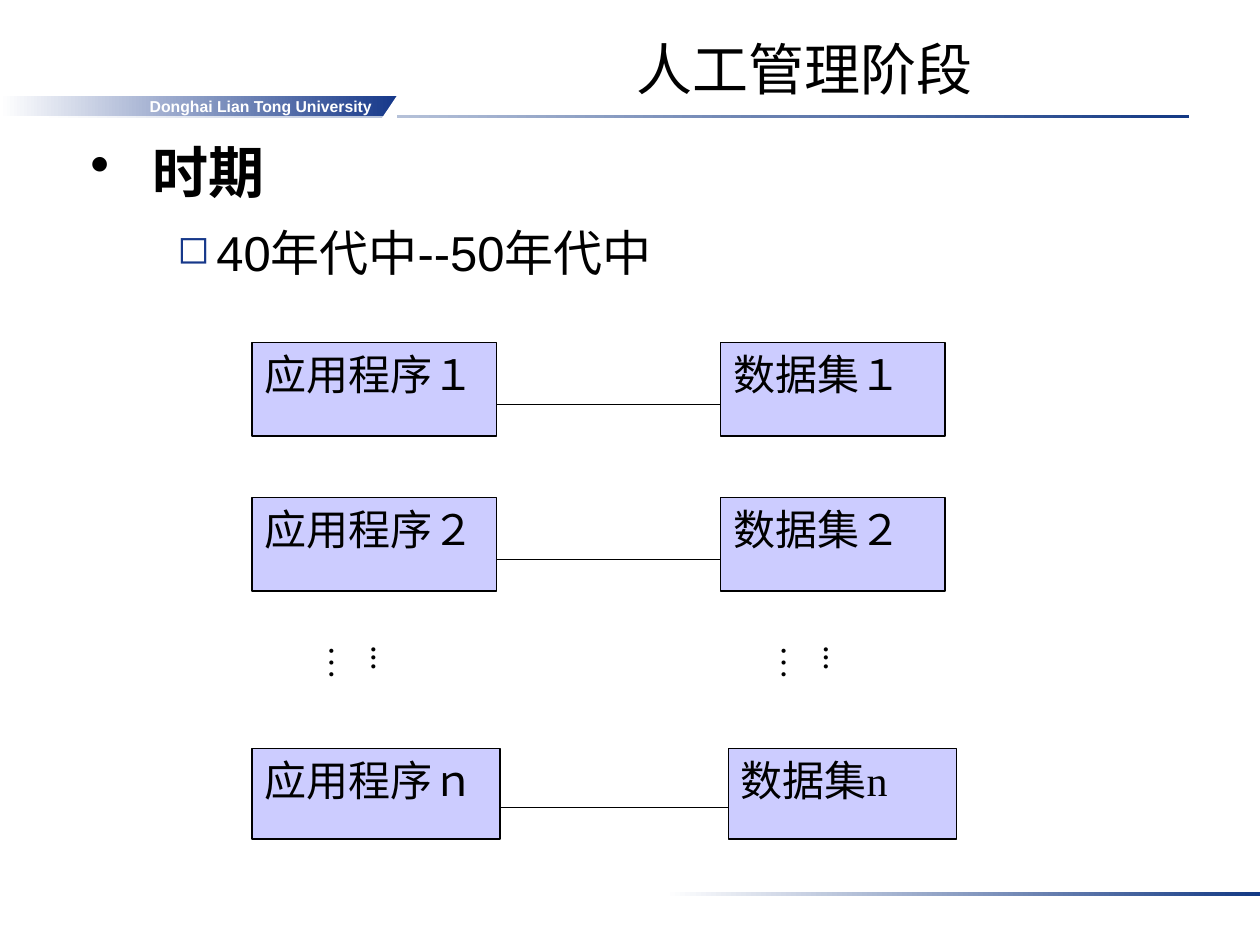
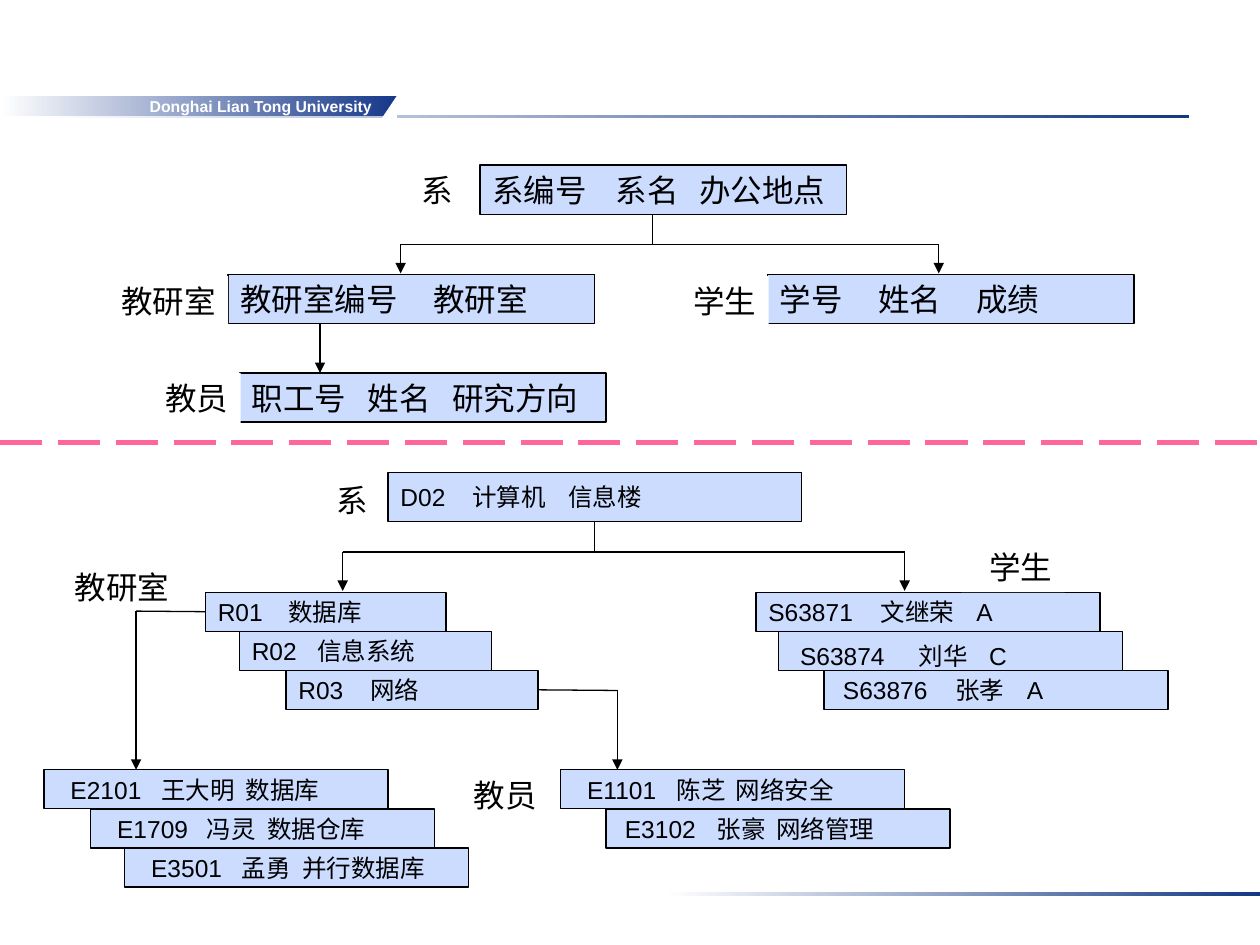
from dataclasses import dataclass
from typing import Optional

from lxml import etree
from pptx import Presentation
from pptx.dml.color import RGBColor
from pptx.enum.dml import MSO_LINE
from pptx.enum.shapes import MSO_CONNECTOR, MSO_SHAPE
from pptx.enum.text import MSO_ANCHOR, PP_ALIGN
from pptx.oxml.ns import qn
from pptx.util import Inches, Pt

RECT, TRIANGLE = MSO_SHAPE.RECTANGLE, MSO_SHAPE.RIGHT_TRIANGLE
STRAIGHT, LONG_DASH = MSO_CONNECTOR.STRAIGHT, MSO_LINE.LONG_DASH
TOP, MIDDLE, BOTTOM = MSO_ANCHOR.TOP, MSO_ANCHOR.MIDDLE, MSO_ANCHOR.BOTTOM
LEFT, CENTER, RIGHT = PP_ALIGN.LEFT, PP_ALIGN.CENTER, PP_ALIGN.RIGHT
SIDE_LEFT, SIDE_BOTTOM, SIDE_RIGHT = 1, 2, 3


@dataclass(frozen=True)
class Theme:
    white: str = "FFFFFF"
    black: str = "000000"
    rule: str = "133984"
    navy: str = "16388A"
    lilac: str = "CCCCFF"
    sky: str = "CBDCFF"
    pink: str = "FF6699"
    sans: str = "Arial"
    serif: str = "Times New Roman"
    title: int = 32
    subtitle: int = 28
    program: int = 24
    dots: int = 20
    schema: int = 18
    data: int = 14
    banner: int = 9
    line: float = 0.75


THEME = Theme()


@dataclass(frozen=True)
class Record:
    """A box of fields; stops are the tab positions of the later fields."""
    left: float
    top: float
    width: float
    fields: tuple
    stops: tuple
    indent: float = 0
    drop: float = 0


@dataclass(frozen=True)
class Label:
    left: float
    top: float
    text: str
    width: float = 0.82


@dataclass(frozen=True)
class Branch:
    """A stem that splits into two arrows."""
    stem: float
    left: float
    right: float
    top: float
    bus: float
    bottom: float


@dataclass(frozen=True)
class ProgramRow:
    top: float
    number: str
    set_number: str
    program_width: float = 1.94
    set_left: float = 5.72
    set_width: float = 1.78
    height: float = 0.74
    link: float = 0.49


SCHEMA = (
    Record(3.81, 1.31, 2.91, ("系编号", "系名", "办公地点"), (0.98, 1.64)),
    Record(6.09, 2.18, 2.91, ("学号", "姓名", "成绩"), (0.78, 1.56)),
    Record(1.81, 2.18, 2.91, ("教研室编号", "教研室"), (1.53,)),
    Record(1.9, 2.96, 2.91, ("职工号", "姓名", "研究方向"), (0.92, 1.59)),
)
DEPARTMENT = Record(3.08, 3.75, 3.28, ("D02", "计算机", "信息楼"), (0.57, 1.33))
SECTION_TOP, TEACHER_TOP, STEP = 4.7, 6.11, 0.31
SECTIONS = (
    Record(1.63, SECTION_TOP, 1.91, ("R01", "数据库"), (0.56,)),
    Record(1.9, SECTION_TOP + STEP, 2, ("R02", "信息系统"), (0.52,)),
    Record(2.27, SECTION_TOP + 2 * STEP, 2, ("R03", "网络"), (0.57,)),
)
PEOPLE = (
    Record(6, SECTION_TOP, 2.73, ("S63871", "文继荣", "A"), (0.89, 1.65)),
    Record(6.18, SECTION_TOP + STEP, 2.73, ("S63874", "刘华", "C"),
           (0.94, 1.5), 0.07, 0.04),
    Record(6.54, SECTION_TOP + 2 * STEP, 2.73, ("S63876", "张孝", "A"),
           (0.89, 1.46), 0.05),
    Record(4.81, TEACHER_TOP + STEP, 2.73, ("E3102", "张豪", "网络管理"),
           (0.73, 1.2), 0.05),
    Record(4.45, TEACHER_TOP, 2.73, ("E1101", "陈芝", "网络安全"),
           (0.71, 1.18), 0.11),
    Record(0.99, TEACHER_TOP + 2 * STEP, 2.73, ("E3501", "孟勇", "并行数据库"),
           (0.72, 1.2), 0.11),
    Record(0.72, TEACHER_TOP + STEP, 2.73, ("E1709", "冯灵", "数据仓库"),
           (0.71, 1.19), 0.11),
    Record(0.35, TEACHER_TOP, 2.73, ("E2101", "王大明", "数据库"),
           (0.72, 1.39), 0.11),
)
LABELS = (
    Label(3.14, 1.31, "系", 0.55), Label(0.72, 2.19, "教研室", 1.09),
    Label(5.28, 2.19, "学生"), Label(1.09, 2.96, "教员"),
    Label(2.47, 3.77, "系", 0.55), Label(0.35, 4.46, "教研室", 1.09),
    Label(7.63, 4.3, "学生"), Label(3.54, 6.11, "教员"),
)
BRANCHES = (
    Branch(5.18, 3.18, 7.45, 1.7, 1.94, 2.17),
    Branch(4.72, 2.72, 7.18, 4.14, 4.38, 4.69),
)
PROGRAM_ROWS = (
    ProgramRow(2.72, "１", "１"),
    ProgramRow(3.95, "２", "２"),
    ProgramRow(5.94, "ｎ", "n", 1.97, 5.78, 1.81, 0.72, 0.47),
)


def rgb(color: str) -> RGBColor:
    return RGBColor.from_string(color)


def add_box(slide, left: float, top: float, width: float, height: float,
            fill: str, line: Optional[str] = None, kind=RECT):
    sp = slide.shapes.add_shape(kind, Inches(left), Inches(top),
                                Inches(width), Inches(height))
    sp.shadow.inherit = False
    sp.fill.solid()
    sp.fill.fore_color.rgb = rgb(fill)
    if line:
        sp.line.color.rgb = rgb(line)
        sp.line.width = Pt(THEME.line)
    else:
        sp.line.fill.background()
    return sp


def add_fade(slide, left: float, top: float, width: float, height: float,
             color: str):
    """Add a band that fades in from white."""
    sp = add_box(slide, left, top, width, height, THEME.white)
    sp.fill.gradient()
    sp.fill.gradient_angle = 0
    for stop, shade in zip(sp.fill.gradient_stops, (THEME.white, color)):
        stop.color.rgb = rgb(shade)
    return sp


def format_runs(p, size: float, font: str = THEME.sans,
                color: str = THEME.black, bold: bool = False) -> None:
    for r in p.runs:
        r.font.size, r.font.name, r.font.bold = Pt(size), font, bold
        r.font.color.rgb = rgb(color)


def write(sp, text: str, size: float, font: str = THEME.sans,
          color: str = THEME.black, bold: bool = False, align=LEFT,
          anchor=TOP):
    tf = sp.text_frame
    tf.word_wrap = True
    tf.vertical_anchor = anchor
    tf.margin_left = tf.margin_right = Inches(0.1)
    tf.margin_top = tf.margin_bottom = Inches(0.05)
    tf.text = text
    p = tf.paragraphs[0]
    p.alignment = align
    format_runs(p, size, font, color, bold)
    return tf


def add_line(slide, x1: float, y1: float, x2: float, y2: float,
             color: str = THEME.black, width: float = THEME.line,
             arrow: bool = False):
    line = slide.shapes.add_connector(STRAIGHT, Inches(x1), Inches(y1),
                                      Inches(x2), Inches(y2))
    line.line.color.rgb = rgb(color)
    line.line.width = Pt(width)
    if arrow:
        etree.SubElement(line.line._get_or_add_ln(), qn("a:tailEnd"),
                         type="triangle")
    etree.SubElement(line._element.spPr, qn("a:effectLst"))
    return line


def set_bullet(p, char: str, color: str, left: float, hang: float,
               percent: int = 100) -> None:
    pPr = p._p.get_or_add_pPr()
    pPr.set("marL", str(Inches(left)))
    pPr.set("indent", str(-Inches(hang)))
    clr = etree.SubElement(pPr, qn("a:buClr"))
    etree.SubElement(clr, qn("a:srgbClr"), val=color)
    etree.SubElement(pPr, qn("a:buSzPct"), val=str(percent * 1000))
    etree.SubElement(pPr, qn("a:buChar"), char=char)


def add_record(slide, record: Record, height: float, size: float):
    sp = add_box(slide, record.left, record.top, record.width, height,
                 THEME.sky, THEME.black)
    tf = write(sp, "\t".join(record.fields), size, anchor=MIDDLE)
    tf.margin_left = Inches(0.1 + record.indent)
    tf.margin_top, tf.margin_bottom = Inches(2 * record.drop), 0
    tabs = etree.SubElement(tf.paragraphs[0]._p.get_or_add_pPr(),
                            qn("a:tabLst"))
    for stop in record.stops:
        etree.SubElement(tabs, qn("a:tab"), pos=str(Inches(stop)), algn="l")
    return sp


def add_branch(slide, b: Branch):
    """Draw the branch and return its stem."""
    add_line(slide, b.left, b.bus, b.right, b.bus)
    for x in (b.left, b.right):
        add_line(slide, x, b.bus, x, b.bottom, arrow=True)
    return add_line(slide, b.stem, b.top, b.stem, b.bus)


def new_slide(prs):
    """Add a blank slide with the shared bands."""
    slide = prs.slides.add_slide(prs.slide_layouts[6])
    add_fade(slide, 0.31, 0.91, 9.13, 0.03, THEME.rule)
    add_fade(slide, 5.28, 7.08, 4.72, 0.03, THEME.rule)
    banner = add_fade(slide, 0, 0.76, 3.15, 0.16, THEME.navy)
    tf = write(banner, "Donghai Lian Tong University", THEME.banner,
               color=THEME.white, bold=True, align=RIGHT, anchor=MIDDLE)
    tf.word_wrap = False
    tf.margin_right = Inches(0.2)
    notch = add_box(slide, 3.03, 0.76, 0.12, 0.18, THEME.white, kind=TRIANGLE)
    notch._element.spPr.xfrm.set("flipH", "1")
    return slide


def add_text(slide, left: float, top: float, width: float, height: float):
    return slide.shapes.add_textbox(Inches(left), Inches(top),
                                    Inches(width), Inches(height))


def build_manual_stage(prs) -> None:
    slide = new_slide(prs)
    write(add_text(slide, 4.24, 0.21, 4.29, 0.65), "人工管理阶段",
          THEME.title, align=CENTER, anchor=BOTTOM)
    tf = write(add_text(slide, 0.62, 0.99, 8.76, 1.5), "时期",
               THEME.title, bold=True)
    period = tf.add_paragraph()
    period.text = "40年代中--50年代中"
    format_runs(period, THEME.subtitle)
    for p, before in zip(tf.paragraphs, (8, 7)):
        p.line_spacing = 1.1
        p.space_before = Pt(before)
    set_bullet(tf.paragraphs[0], "•", THEME.black, 0.49, 0.49)
    set_bullet(period, "◻", THEME.navy, 1, 0.31, 80)

    program_left = 2
    for row in PROGRAM_ROWS:
        for left, width, text in (
                (program_left, row.program_width, "应用程序" + row.number),
                (row.set_left, row.set_width, "数据集" + row.set_number)):
            sp = add_box(slide, left, row.top, width, row.height,
                         THEME.lilac, THEME.black)
            write(sp, text, THEME.program, THEME.serif)
        y = row.top + row.link
        add_line(slide, program_left + row.program_width, y, row.set_left, y)
    for left in (2.75, 6.34):
        sp = add_box(slide, left, 5.02, 0.53, 0.67, THEME.white)
        tf = write(sp, "...…", THEME.dots, THEME.serif)
        tf.margin_left = tf.margin_right = Inches(0.05)
        tf.margin_top = tf.margin_bottom = Inches(0.1)
        tf._txBody.bodyPr.set("vert", "eaVert")


def build_hierarchy(prs) -> None:
    slide = new_slide(prs)
    for record in SCHEMA:
        add_record(slide, record, 0.39, THEME.schema)
    department = add_record(slide, DEPARTMENT, 0.39, THEME.data)
    sections = [add_record(slide, s, STEP, THEME.data) for s in SECTIONS]
    for record in PEOPLE:
        add_record(slide, record, STEP, THEME.data)
    for label in LABELS:
        sp = add_box(slide, label.left, label.top, label.width, 0.4,
                     THEME.white)
        write(sp, label.text, THEME.schema, align=RIGHT)

    stems = [add_branch(slide, b) for b in BRANCHES]
    stems[1].begin_connect(department, SIDE_BOTTOM)
    add_line(slide, 2.54, 2.57, 2.54, 2.96, arrow=True)
    for section, side, edge, x, y in (
            (sections[0], SIDE_LEFT, 1.63, 1.08, 4.85),
            (sections[2], SIDE_RIGHT, 4.27, 4.9, 5.48)):
        add_line(slide, edge, y, x, y).begin_connect(section, side)
        add_line(slide, x, y, x, TEACHER_TOP, arrow=True)
    divider = add_line(slide, 0, 3.51, 10, 3.51, THEME.pink, 3)
    divider.line.dash_style = LONG_DASH


def main() -> None:
    prs = Presentation()
    prs.slide_width, prs.slide_height = Inches(10), Inches(7.5)
    build_manual_stage(prs)
    build_hierarchy(prs)
    prs.save("out.pptx")


if __name__ == "__main__":
    main()
